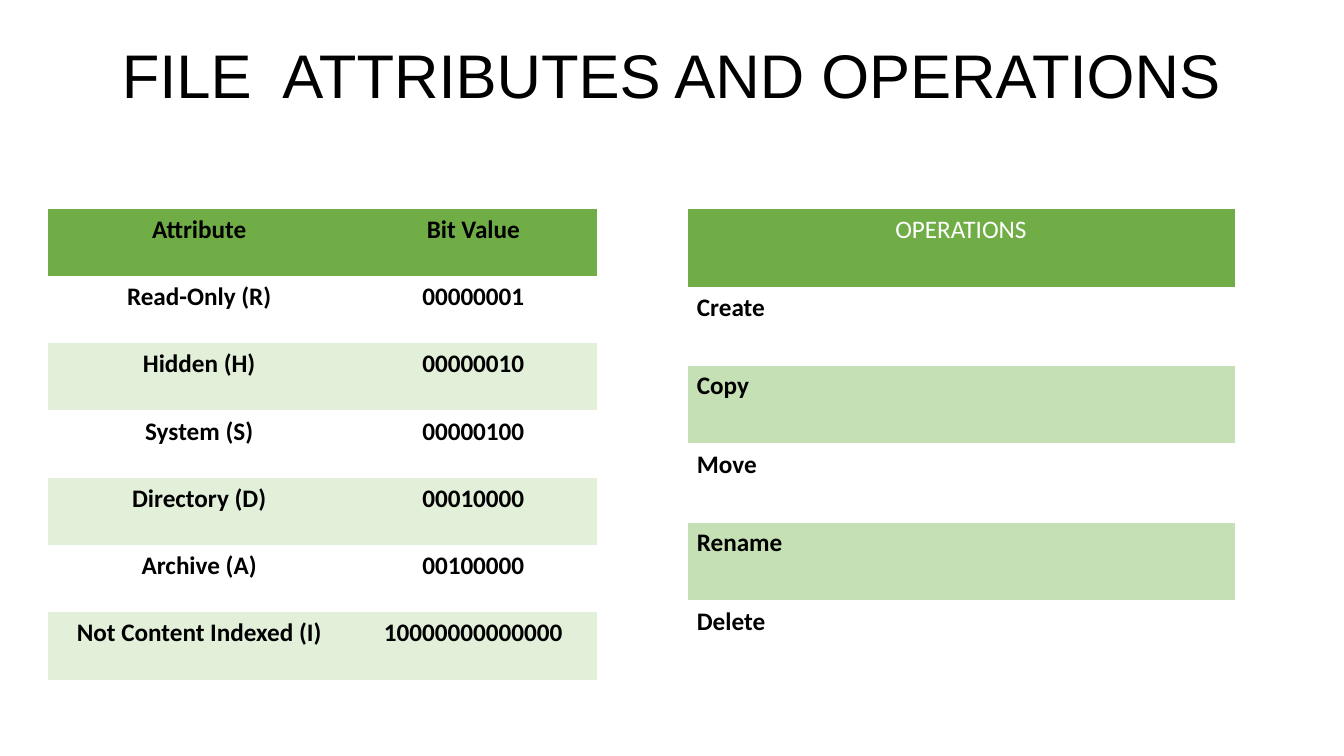
from pptx import Presentation
from pptx.dml.color import RGBColor
from pptx.enum.text import MSO_ANCHOR as Anchor, PP_ALIGN as Align
from pptx.oxml import parse_xml
from pptx.oxml.ns import nsdecls, qn
from pptx.util import Inches, Pt

PLAIN_STYLE = "{2D5ABB26-0587-4C30-8999-92F81FD0307C}"
BLACK, WHITE, GREEN = "000000", "FFFFFF", "70AD47"
PALE_GREEN, SOFT_GREEN = "E2EFD9", "C5E0B4"


def color(hex_code):
    return RGBColor.from_string(hex_code)


class AttributeSlide:
    """Places elements in percent of the slide's width and height."""

    def __init__(self, deck):
        self.width, self.height = deck.slide_width, deck.slide_height
        self.slide = deck.slides.add_slide(deck.slide_layouts[5])

    def box(self, left, top, width, height):
        return (int(left * self.width / 100), int(top * self.height / 100),
                int(width * self.width / 100), int(height * self.height / 100))

    def set_text(self, frame, text, size, font, ink, align, spacing, bold=False):
        frame.text = text
        paragraph = frame.paragraphs[0]
        paragraph.alignment, paragraph.line_spacing = align, spacing
        for run in paragraph.runs:
            run.font.size, run.font.name, run.font.bold = Pt(size), font, bold
            run.font.color.rgb = color(ink)

    def title(self, text, place):
        heading = self.slide.shapes.title
        heading.left, heading.top, heading.width, heading.height = self.box(*place)
        heading.text_frame.word_wrap = True
        heading.text_frame.vertical_anchor = Anchor.TOP
        self.set_text(heading.text_frame, text, 44, "Arial", BLACK, Align.CENTER, 0.9)

    def border(self, cell, ink, points):
        properties = cell._tc.get_or_add_tcPr()
        for place, side in enumerate(("lnL", "lnR", "lnT", "lnB")):
            properties.insert(place, parse_xml(
                f'<a:{side} {nsdecls("a")} w="{Pt(points)}"><a:solidFill>'
                f'<a:srgbClr val="{ink}"/></a:solidFill></a:{side}>'))

    def table(self, rows, place, shares, band, margin, align=Align.CENTER,
              header_ink=BLACK, header_bold=True, border=None):
        left, top, width, height = self.box(*place)
        table = self.slide.shapes.add_table(
            len(rows), len(shares), left, top, width, height).table
        table._tbl.tblPr.find(qn("a:tableStyleId")).text = PLAIN_STYLE
        for column, share in zip(table.columns, shares):
            column.width = int(width * share)
        for r, values in enumerate(rows):
            table.rows[r].height = height // len(rows)
            header = r == 0
            fill = GREEN if header else (WHITE, band)[(r - 1) % 2]
            for c, value in enumerate(values):
                cell = table.cell(r, c)
                cell.fill.solid()
                cell.fill.fore_color.rgb = color(fill)
                cell.margin_left = cell.margin_right = Inches(margin)
                cell.vertical_anchor = Anchor.TOP
                self.set_text(cell.text_frame, value, 18, "Calibri",
                              header_ink if header else BLACK,
                              Align.CENTER if header else align, 1.02,
                              header_bold if header else True)
                if border:
                    self.border(cell, *border)


def main():
    deck = Presentation()
    deck.slide_width, deck.slide_height = Inches(13.34), Inches(7.5)
    page = AttributeSlide(deck)

    # Title
    page.title("FILE  ATTRIBUTES AND OPERATIONS", (6.9, 5.3, 86.2, 19.3))

    # File attributes and their bit values
    attributes = [
        ("Attribute", "Bit Value"),
        ("Read-Only (R)", "00000001"),
        ("Hidden (H)", "00000010"),
        ("System (S)", "00000100"),
        ("Directory (D)", "00010000"),
        ("Archive (A)", "00100000"),
        ("Not Content Indexed (I)", "10000000000000"),
    ]
    page.table(attributes, (3.6, 27.6, 40.8, 62.3), (0.55, 0.45),
               PALE_GREEN, margin=0.05)

    # File operations
    operations = ["OPERATIONS", "Create", "Copy", "Move", "Rename", "Delete"]
    page.table([(name,) for name in operations], (51.1, 27.6, 40.8, 62.2), (1,),
               SOFT_GREEN, margin=0.1, align=Align.JUSTIFY,
               header_ink=WHITE, header_bold=False, border=(WHITE, 0.45))

    deck.save("out.pptx")


if __name__ == "__main__":
    main()
